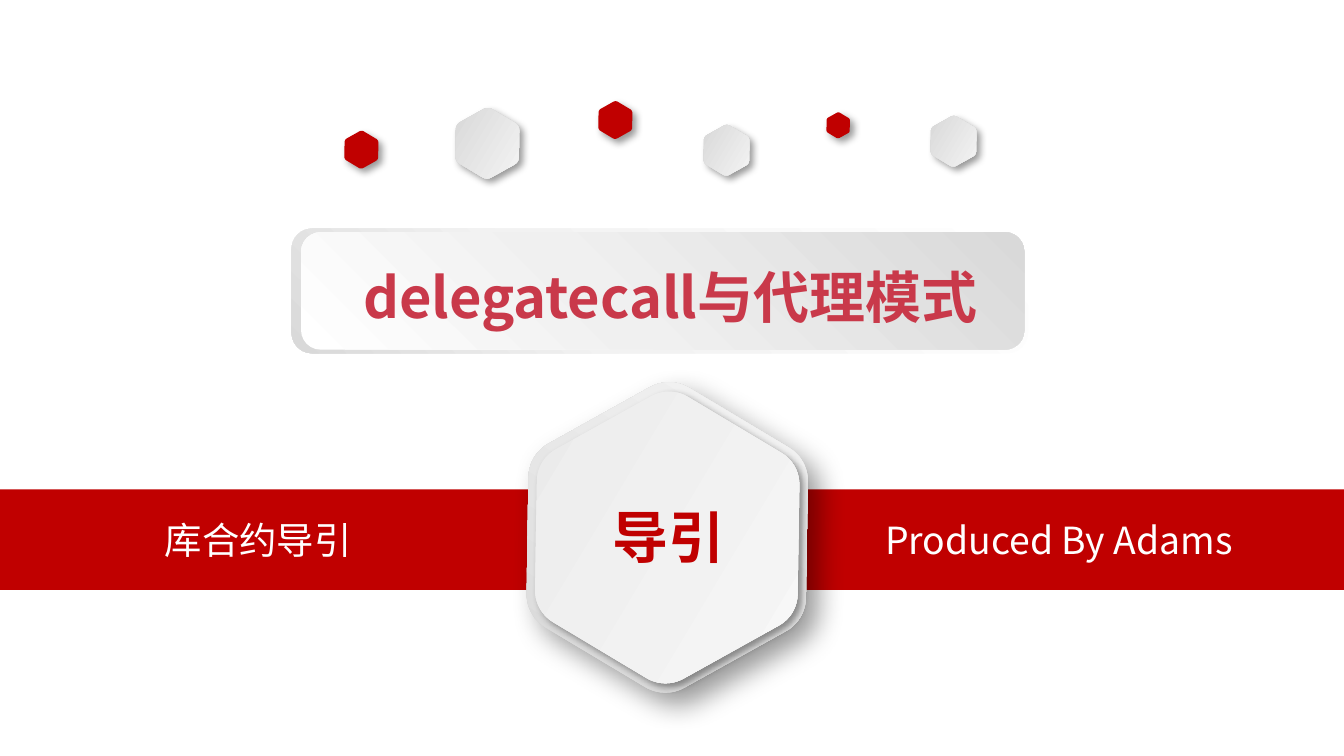
from dataclasses import dataclass
from math import cos, pi, radians, sin, sqrt

from lxml import etree
from pptx import Presentation
from pptx import util as u
from pptx.dml import color as c
from pptx.enum import shapes as s, text as t
from pptx.oxml import ns


@dataclass(frozen=True)
class Theme:
    font: str = "Noto Sans CJK SC"
    red: str = "C00000"
    rose: str = "C9394A"
    white: str = "FFFFFF"
    shade: str = "000000"
    big: int = 30
    small: int = 20
    silver: tuple = ((0, "D3D3D3"), (100, "F9F9F9"))
    pearl: tuple = ((0, "E9E9E9"), (100, "F9F9F9"))
    rim: tuple = ((0, "FFFFFF"), (62, "F2F2F2"), (100, "D9D9D9"))
    face: tuple = ((0, "FFFFFF"), (42, "F0F0F0"), (100, "D9D9D9"))


THEME = Theme()
TILT = 30.9
ROUND = 0.14  # corner radius as a share of hexagon height


def add(parent, tag, **values):
    return etree.SubElement(parent, ns.qn(tag), {k: str(v) for k, v in values.items()})


def cast(effects, blur, dist):
    """Put a soft shadow, falling to the lower right, in an effect list."""
    drop = add(effects, "a:outerShdw", blurRad=u.Pt(blur), dist=u.Pt(dist),
               dir=45 * 60000, algn="tl", rotWithShape=0)
    tint = add(drop, "a:srgbClr", val=THEME.shade)
    add(tint, "a:alpha", val=40000)


def paint(shape, fill, angle=0):
    """Fill with one colour or with (percent, colour) stops; no line or shadow."""
    shape.shadow.inherit = False
    shape.line.fill.background()
    if isinstance(fill, str):
        shape.fill.solid()
        shape.fill.fore_color.rgb = c.RGBColor.from_string(fill)
        return
    shape.fill.gradient()
    shape.fill.gradient_angle = angle
    stops = shape.element.spPr.find(".//" + ns.qn("a:gsLst"))
    for old in list(stops):
        stops.remove(old)
    for share, tone in fill:
        stop = add(stops, "a:gs", pos=share * 1000)
        add(stop, "a:srgbClr", val=tone)


def write(shape, words, size, tone, bold=False, align=t.PP_ALIGN.CENTER):
    frame = shape.text_frame
    look = dict(word_wrap=True, vertical_anchor=t.MSO_ANCHOR.MIDDLE,
                auto_size=t.MSO_AUTO_SIZE.NONE, margin_left=u.Cm(0.25),
                margin_right=u.Cm(0.25), margin_top=0, margin_bottom=0)
    for key, value in look.items():
        setattr(frame, key, value)
    para = frame.paragraphs[0]
    para.alignment = align
    run = para.add_run()
    run.text = words
    for key, value in dict(name=THEME.font, size=u.Pt(size), bold=bold).items():
        setattr(run.font, key, value)
    run.font.color.rgb = c.RGBColor.from_string(tone)
    props = run.font._element
    props.find(ns.qn("a:latin")).addnext(add(props, "a:ea", typeface=THEME.font))
    return run


def hexagon(parts, x, y, high, fill, angle=0, blur=4, dist=3):
    """Draw a tilted, round-cornered hexagon centred on x, y."""
    curve = high * ROUND
    reach = high / sqrt(3) - curve * 2 / sqrt(3)
    points = []
    for turn in range(0, 360, 60):
        for step in range(-30, 31, 6):
            arc = radians(turn + step)
            points.append((
                u.Cm(x + reach * cos(turn * pi / 180) + curve * cos(arc)),
                u.Cm(y + reach * sin(turn * pi / 180) + curve * sin(arc))))
    pen = parts.build_freeform(*points[0])
    pen.add_line_segments(points[1:], close=True)
    shape = pen.convert_to_shape()
    shape.rotation = TILT
    paint(shape, fill, angle)
    cast(shape.element.spPr.find(ns.qn("a:effectLst")), blur, dist)


def band(slide, left, top, wide, high):
    bar = slide.shapes.add_shape(s.MSO_SHAPE.RECTANGLE, *map(u.Cm, (left, top, wide, high)))
    paint(bar, THEME.red)
    notes = ((0.43, "库合约导引", t.PP_ALIGN.CENTER),
             (16.48, "Produced By Adams", t.PP_ALIGN.LEFT))
    for shift, words, align in notes:
        box = slide.shapes.add_textbox(
            *map(u.Cm, (left + shift, top + (high - 1.12) / 2, 8.9, 1.12)))
        write(box, words, THEME.small, THEME.white, align=align)


def dots(slide, left, top):
    """Scatter small hexagons: centre and height of each, from the corner given."""
    grey, red = THEME.silver, THEME.red
    for x, y, high, fill in (
            (2.71, 0.81, 1.2, grey), (5.13, 0.37, 0.64, red),
            (0.33, 0.93, 0.64, red), (7.23, 0.94, 0.86, grey),
            (9.34, 0.47, 0.44, red), (11.52, 0.77, 0.86, grey)):
        hexagon(slide.shapes, left + x, top + y, high, fill)


def badge(slide, x, y, high):
    group = slide.shapes.add_group_shape()
    hexagon(group.shapes, x, y, high, THEME.silver, 90, blur=15, dist=9)
    hexagon(group.shapes, x, y, high * 0.94, THEME.pearl)


def label(slide, x, y, wide, high):
    box = slide.shapes.add_shape(
        s.MSO_SHAPE.ROUNDED_RECTANGLE, *map(u.Cm, (x - wide / 2, y - high / 2, wide, high)))
    box.shadow.inherit = False
    box.fill.background()
    box.line.fill.background()
    run = write(box, "导引", THEME.big, THEME.red, bold=True)
    props = run.font._element
    effects = add(props, "a:effectLst")
    props.find(ns.qn("a:solidFill")).addnext(effects)
    cast(effects, 3, 2)


def header(slide, left, top, wide, high):
    group = slide.shapes.add_group_shape()
    for shift, drop, cut, fill, angle in (
            (0, 0, 0, THEME.rim, 225), (0.18, 0.07, 0.25, THEME.face, 45)):
        plate = group.shapes.add_shape(
            s.MSO_SHAPE.ROUNDED_RECTANGLE,
            *map(u.Cm, (left + shift, top + drop, wide - cut, high - 2 * drop)))
        paint(plate, fill, angle)
    title = slide.shapes.title
    group.element.addnext(title.element)
    place = dict(left=left + 0.2, top=top + 0.51, width=wide, height=1.52)
    for key, value in place.items():
        setattr(title, key, u.Cm(value))
    write(title, "delegatecall与代理模式", THEME.big, THEME.rose, bold=True)


def main():
    deck = Presentation()
    deck.slide_width, deck.slide_height = u.Cm(25.4), u.Cm(14.29)
    slide = deck.slides.add_slide(deck.slide_layouts[5])
    band(slide, 0, 9.25, 25.4, 1.9)
    dots(slide, 6.5, 1.9)
    badge(slide, 12.61, 10.16, 5.28)
    header(slide, 5.51, 4.32, 13.92, 2.36)
    label(slide, 12.63, 10.14, 5, 1.27)
    deck.save("out.pptx")


if __name__ == "__main__":
    main()
